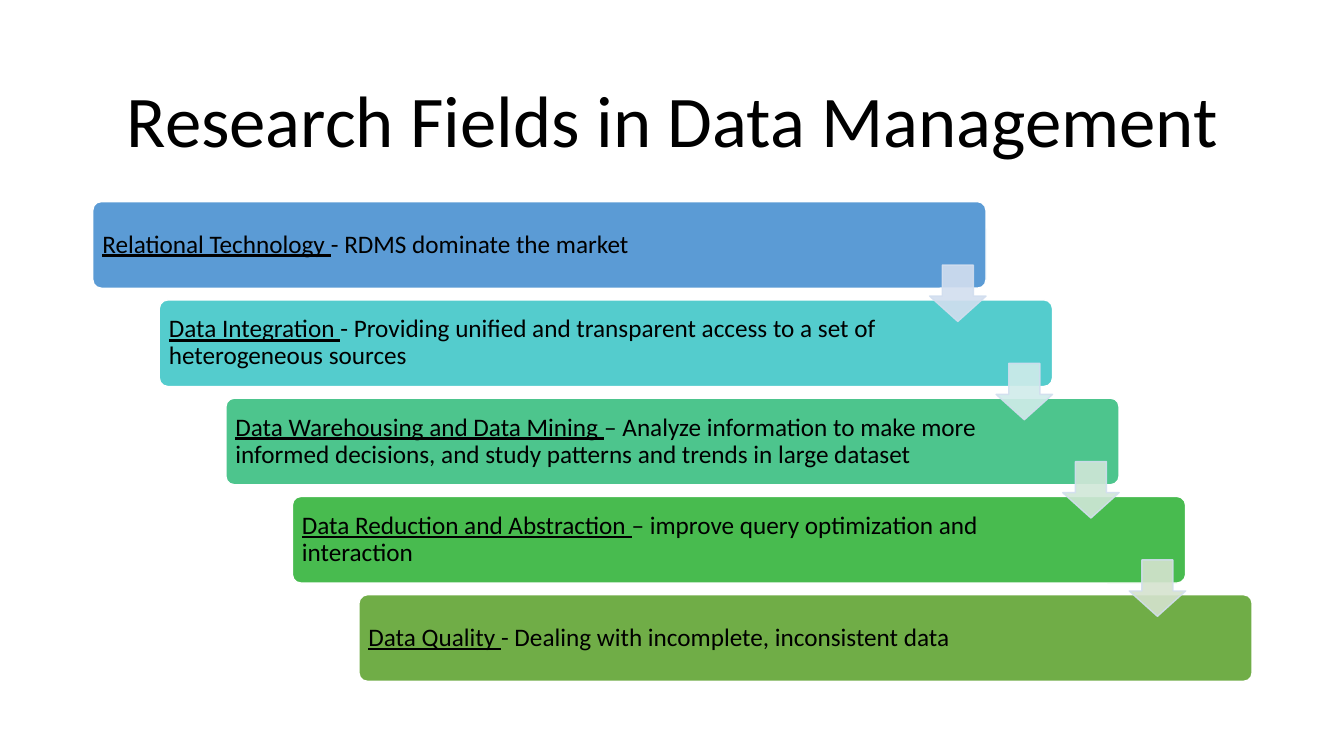
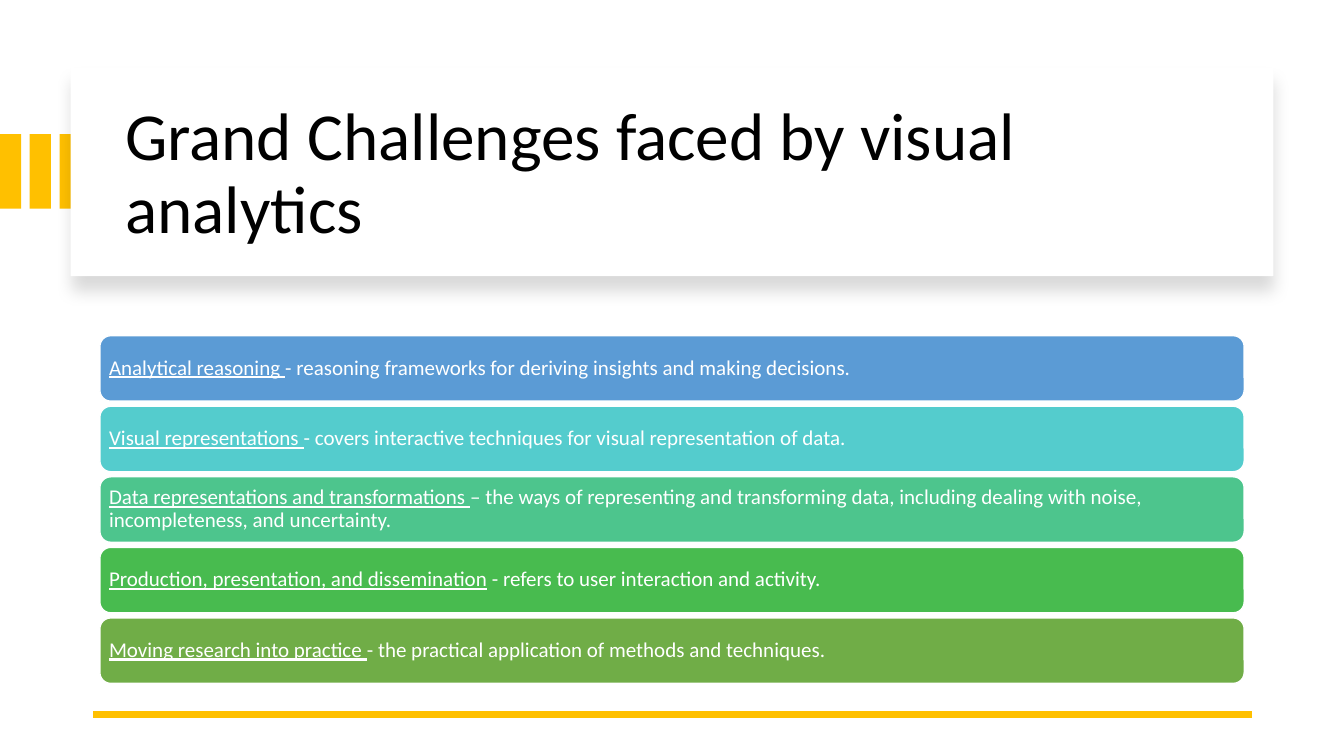
from dataclasses import dataclass
from lxml.etree import SubElement
from pptx import Presentation
from pptx.dml.color import RGBColor
from pptx.enum.shapes import MSO_CONNECTOR as Connector, MSO_SHAPE as Preset
from pptx.enum.text import MSO_ANCHOR as Anchor, MSO_AUTO_SIZE as AutoSize, PP_ALIGN as Align
from pptx.oxml.ns import qn
from pptx.util import Inches, Pt


@dataclass(frozen=True)
class Theme:
    font: str = "Calibri"
    ink: str = "000000"
    paper: str = "FFFFFF"
    accent: str = "FFC000"
    bars: tuple = ("5B9BD5", "54CCCD", "4DC58D", "48BB4F", "70AD47")
    arrows: tuple = ("D2DEEF", "D0ECEA", "D0E7D8", "D5E3CF")
    arrow_edge: str = "D2DEEF"
    field_title: int = 52
    challenge_title: int = 48
    field_text: int = 18
    challenge_text: int = 15
    line_spacing: float = 0.9


THEME = Theme()

FIELDS = (
    ("Relational Technology ", "- RDMS dominate the market"),
    ("Data Integration ",
     "- Providing unified and transparent access to a set of heterogeneous sources"),
    ("Data Warehousing and Data Mining ",
     "– Analyze information to make more informed decisions, "
     "and study patterns and trends in large dataset"),
    ("Data Reduction and Abstraction ", "– improve query optimization and interaction"),
    ("Data Quality ", "- Dealing with incomplete, inconsistent data"),
)

CHALLENGES = (
    ("Analytical reasoning ",
     "- reasoning frameworks for deriving insights and making decisions."),
    ("Visual representations ",
     "- covers interactive techniques for visual representation of data."),
    ("Data representations and transformations ",
     "– the ways of representing and transforming data, "
     "including dealing with noise, incompleteness, and uncertainty."),
    ("Production, presentation, and dissemination",
     " - refers to user interaction and activity."),
    ("Moving research into practice ",
     "- the practical application of methods and techniques."),
)


def rgb(color):
    return RGBColor.from_string(color)


def inches(box):
    return [Inches(length) for length in box]


def write_text(paragraph, text, *, size, color=THEME.ink, underline=False, align=Align.LEFT):
    paragraph.alignment = align
    paragraph.line_spacing = THEME.line_spacing
    run = paragraph.add_run()
    run.text = text
    run.font.name = THEME.font
    run.font.size = Pt(size)
    run.font.color.rgb = rgb(color)
    run.font.underline = underline


def add_preset(slide, preset, box, fill, edge=None, adjust=()):
    shape = slide.shapes.add_shape(preset, *inches(box))
    shape.shadow.inherit = False
    shape.fill.solid()
    shape.fill.fore_color.rgb = rgb(fill)
    if edge:
        shape.line.color.rgb = rgb(edge)
        shape.line.width = Pt(1)
    else:
        shape.line.fill.background()
    for index, value in enumerate(adjust):
        shape.adjustments[index] = value
    return shape


def add_title(slide, text, box, size, align=Align.LEFT):
    title = slide.shapes.title
    title.left, title.top, title.width, title.height = inches(box)
    frame = title.text_frame
    frame.word_wrap = True
    frame.auto_size = AutoSize.NONE
    frame.vertical_anchor = Anchor.MIDDLE
    write_text(frame.paragraphs[0], text, size=size, align=align)
    title.element.getparent().append(title.element)


def add_bar(slide, box, fill, entry, *, size, color, inset, right_inset, adjust=()):
    frame = add_preset(slide, Preset.ROUNDED_RECTANGLE, box, fill, THEME.paper, adjust).text_frame
    frame.word_wrap = True
    frame.vertical_anchor = Anchor.MIDDLE
    frame.margin_left = frame.margin_top = frame.margin_bottom = Inches(inset)
    frame.margin_right = Inches(right_inset)
    term, meaning = entry
    write_text(frame.paragraphs[0], term, size=size, color=color, underline=True)
    write_text(frame.paragraphs[0], meaning, size=size, color=color)


def add_step_arrow(slide, left, top, fill):
    arrow = add_preset(slide, Preset.DOWN_ARROW, (left, top, 0.56, 0.56), fill,
                       THEME.arrow_edge, (0.55, 0.45))
    for color in arrow.element.spPr.iter(qn("a:srgbClr")):
        SubElement(color, qn("a:alpha"), val="90000")


def add_title_card(slide, box):
    card = add_preset(slide, Preset.RECTANGLE, box, THEME.paper)
    effects = card.element.spPr.find(qn("a:effectLst"))
    shadow = SubElement(effects, qn("a:outerShdw"), blurRad=str(Pt(11)), dist=str(Pt(10)),
                        dir="5400000", algn="t", rotWithShape="0")
    color = SubElement(shadow, qn("a:srgbClr"), val=THEME.ink)
    SubElement(color, qn("a:alpha"), val="15000")


def add_rule(slide, left, right, top):
    rule = slide.shapes.add_connector(Connector.STRAIGHT, *inches((right, top, left, top)))
    rule.line.color.rgb = rgb(THEME.accent)
    rule.line.width = Pt(4.5)
    SubElement(rule.element.spPr, qn("a:effectLst"))


def build_fields(slide):
    add_title(slide, "Research Fields in Data Management", (0.92, 0.61, 11.5, 1.24),
              THEME.field_title, Align.CENTER)
    step, pitch = 0.66, 3.9 / 4
    for row, (entry, fill) in enumerate(zip(FIELDS, THEME.bars)):
        add_bar(slide, (0.92 + row * step, 2 + row * pitch, 8.86, 0.86), fill, entry,
                size=THEME.field_text, color=THEME.ink, inset=0.07, right_inset=1.29,
                adjust=(0.1,))
    for row, fill in enumerate(THEME.arrows):
        add_step_arrow(slide, 9.22 + row * step, 2.63 + row * pitch, fill)


def build_challenges(slide):
    for column in range(3):
        add_preset(slide, Preset.RECTANGLE, (column * 0.59 / 2, 1.33, 0.21, 0.74), THEME.accent)
    add_title_card(slide, (0.7, 0.67, 11.93, 2.07))
    add_title(slide, "Grand Challenges faced by visual analytics", (1.14, 0.89, 11.13, 1.7),
              THEME.challenge_title)
    add_rule(slide, 0.92, 12.42, 7.09)
    for row, (entry, fill) in enumerate(zip(CHALLENGES, THEME.bars)):
        add_bar(slide, (0.99, 3.33 + row * 0.7, 11.35, 0.65), fill, entry,
                size=THEME.challenge_text, color=THEME.paper, inset=0.06, right_inset=0.06)


def main():
    deck = Presentation()
    deck.slide_width, deck.slide_height = Inches(13.33), Inches(7.5)
    title_only = deck.slide_layouts[5]
    for build in (build_fields, build_challenges):
        build(deck.slides.add_slide(title_only))
    deck.save("out.pptx")


if __name__ == "__main__":
    main()
